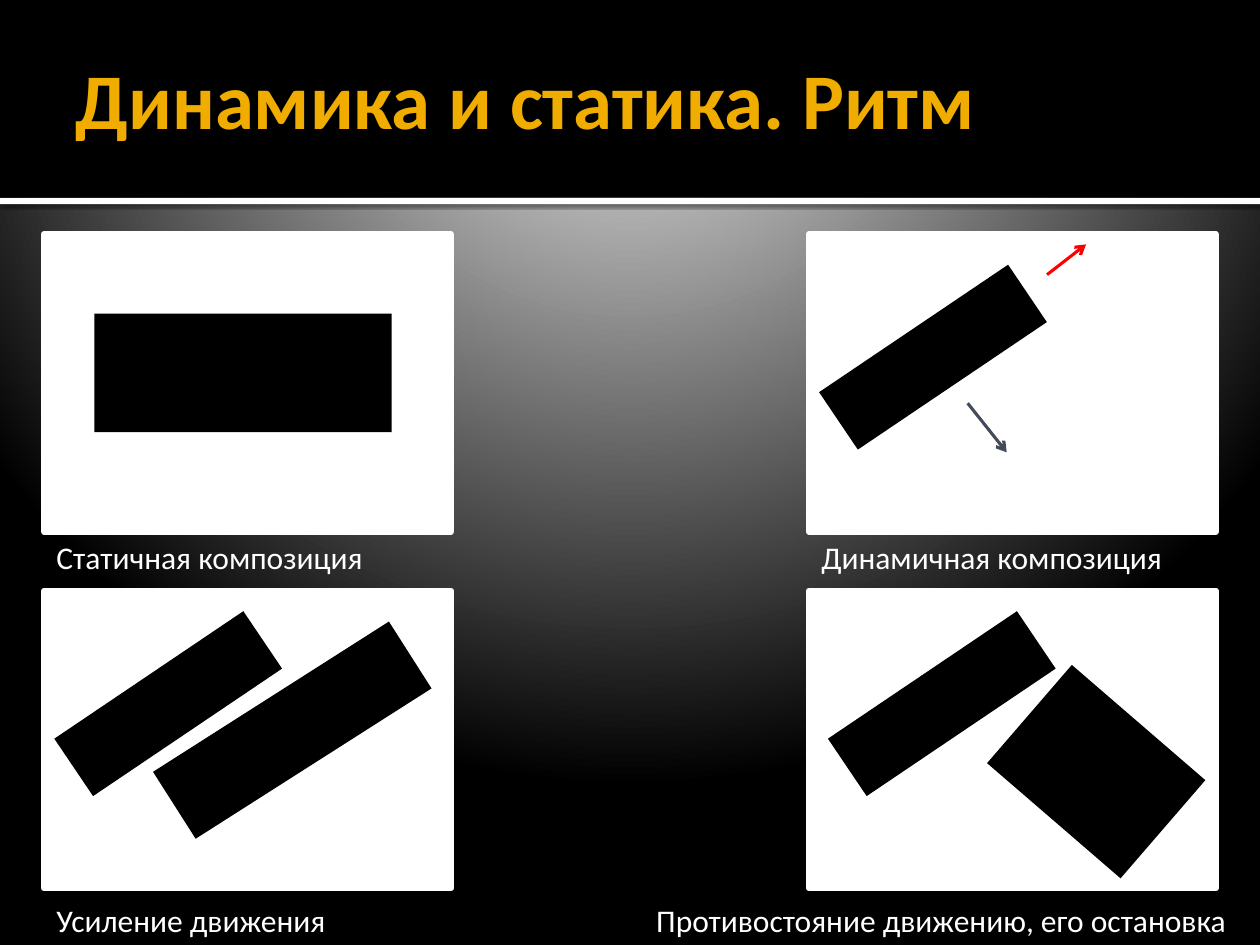
from itertools import product

from lxml.etree import SubElement
from pptx import Presentation
from pptx.dml.color import RGBColor
from pptx.enum.shapes import MSO_CONNECTOR, MSO_SHAPE
from pptx.enum.text import MSO_ANCHOR
from pptx.oxml import parse_xml
from pptx.oxml.ns import nsdecls, qn
from pptx.util import Inches, Pt

COLORS = {
    "white": "FFFFFF",
    "black": "000000",
    "title": "F0AD00",
    "push": "FF0000",
    "fall": "444A5A",
}
BACKDROP_STOPS = [(0, "C0C0C0"), (12, "C0C0C0"), (20, "BEBEBE"), (100, "000000")]
FONT = "Calibri"


def color(name):
    return RGBColor.from_string(COLORS[name])


def write_text(frame, text, size=18, tint="white", bold=False,
               anchor=MSO_ANCHOR.TOP, wrap=False):
    frame.word_wrap = wrap
    frame.vertical_anchor = anchor
    frame.margin_left = Inches(0.1)
    frame.margin_top = frame.margin_right = frame.margin_bottom = Inches(0.05)
    run = frame.paragraphs[0].add_run()
    run.text = text
    run.font.name = FONT
    run.font.size = Pt(size)
    run.font.bold = bold
    run.font.color.rgb = color(tint)


class Composer:
    def __init__(self, slide):
        self.slide = slide
        self.shapes = slide.shapes

    def backdrop(self, stops):
        self.slide.background.fill.gradient()
        gradient = self.slide.element.find(".//" + qn("a:gradFill"))
        stop_xml = "".join(
            f'<a:gs pos="{position * 1000}"><a:srgbClr val="{tint}"/></a:gs>'
            for position, tint in stops
        )
        radial = parse_xml(
            f'<a:gradFill {nsdecls("a")} rotWithShape="1"><a:gsLst>{stop_xml}</a:gsLst>'
            '<a:path path="circle">'
            '<a:fillToRect l="10000" t="-25000" r="10000" b="125000"/>'
            '</a:path></a:gradFill>'
        )
        gradient.getparent().replace(gradient, radial)

    def block(self, left, top, width, height, tint="black", rotation=0, border=0):
        block = self.shapes.add_shape(
            MSO_SHAPE.RECTANGLE, Inches(left), Inches(top), Inches(width), Inches(height)
        )
        block.shadow.inherit = False
        block.fill.solid()
        block.fill.fore_color.rgb = color(tint)
        block.rotation = rotation
        if border:
            block.line.color.rgb = color(tint)
            block.line.width = Pt(border)
            SubElement(block.line._get_or_add_ln(), qn("a:round"))
        else:
            block.line.fill.background()
        return block

    def drop_shadow(self, block):
        effects = block.element.spPr.find(qn("a:effectLst"))
        effects.append(parse_xml(
            f'<a:outerShdw {nsdecls("a")} blurRad="{Pt(2.5)}" dist="{Pt(0.8)}" '
            'dir="5400000" rotWithShape="0"><a:srgbClr val="000000">'
            '<a:alpha val="60000"/></a:srgbClr></a:outerShdw>'
        ))

    def label(self, text, left, top, width, height, **style):
        box = self.shapes.add_textbox(
            Inches(left), Inches(top), Inches(width), Inches(height)
        )
        write_text(box.text_frame, text, **style)

    def arrow(self, start, end, tint):
        arrow = self.shapes.add_connector(
            MSO_CONNECTOR.STRAIGHT, *(Inches(value) for value in (*start, *end))
        )
        arrow.line.color.rgb = color(tint)
        arrow.line.width = Pt(1.75)
        SubElement(arrow.line._get_or_add_ln(), qn("a:tailEnd"), type="arrow")
        SubElement(arrow.element.spPr, qn("a:effectLst"))


def main():
    presentation = Presentation()
    presentation.slide_width = Inches(10)
    presentation.slide_height = Inches(7.5)
    composer = Composer(presentation.slides.add_slide(presentation.slide_layouts[6]))

    composer.backdrop(BACKDROP_STOPS)
    divider = composer.block(0, 1.57, 10, 0.05, "white")
    composer.drop_shadow(divider)
    composer.block(0, 0, 10, 1.57)
    composer.label("Динамика и статика. Ритм", 0.5, 0.17, 9, 1.22, size=45,
                   tint="title", bold=True, anchor=MSO_ANCHOR.MIDDLE, wrap=True)

    for left, top in product((0.35, 6.42), (1.86, 4.69)):
        composer.block(left, top, 3.23, 2.36, "white", border=3.78)

    composer.block(0.75, 2.49, 2.36, 0.94)
    for left, top in ((6.5, 2.56), (0.43, 5.31), (6.57, 5.31)):
        composer.block(left, top, 1.81, 0.55, rotation=326)
    composer.block(1.21, 5.48, 2.22, 0.63, rotation=327.5)
    composer.block(8, 5.61, 1.4, 1.03, rotation=40.8)

    composer.arrow((8.31, 2.18), (8.62, 1.94), "push")
    composer.arrow((7.68, 3.2), (7.99, 3.59), "fall")

    captions = [
        ("Статичная композиция", 0.35, 4.22, 2.7),
        ("Динамичная композиция", 6.42, 4.22, 2.97),
        ("Усиление движения", 0.35, 7.1, 2.4),
        ("Противостояние движению, его остановка", 5.11, 7.1, 4.89),
    ]
    for text, left, top, width in captions:
        composer.label(text, left, top, width, 0.4)

    presentation.save("out.pptx")


if __name__ == "__main__":
    main()
